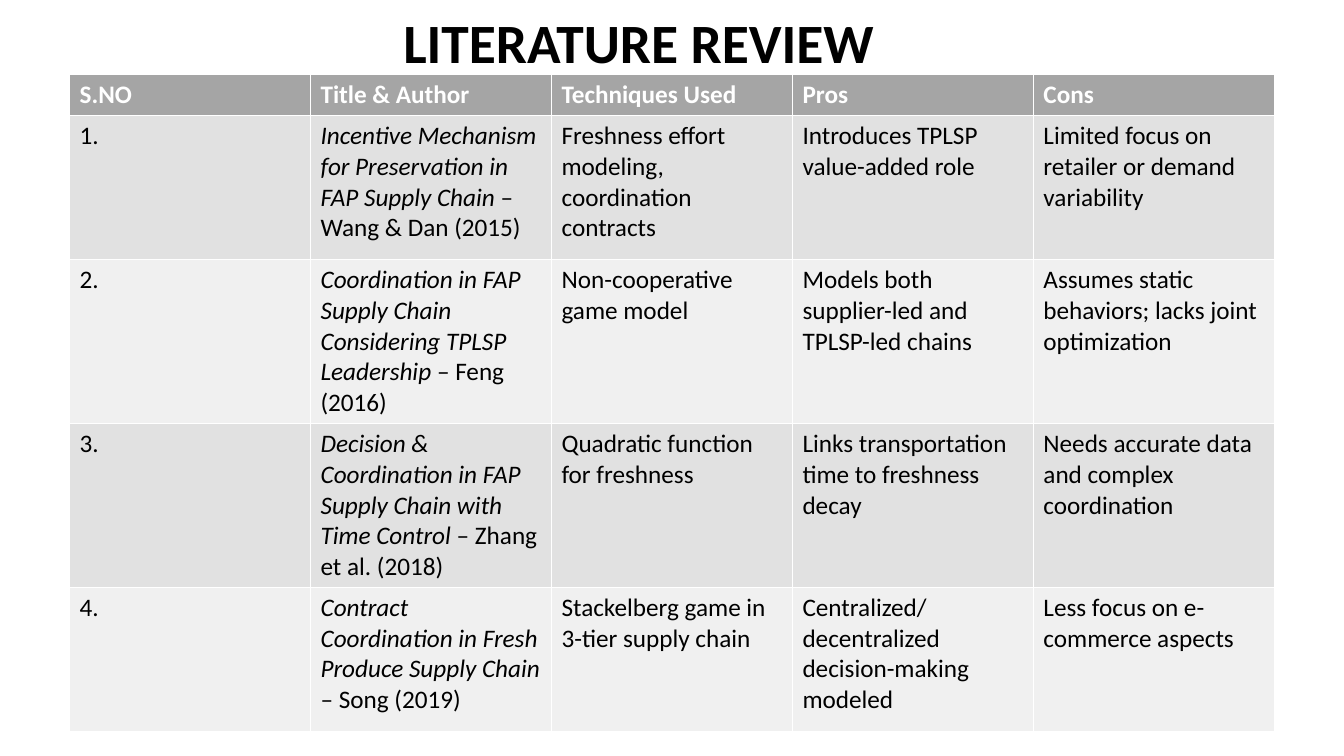
import pptx
import pptx.util
import pptx.dml.color
import pptx.enum.text
from pptx.util import Inches

BLACK = pptx.dml.color.RGBColor(0x00, 0x00, 0x00)
WHITE = pptx.dml.color.RGBColor(0xFF, 0xFF, 0xFF)
HEADER_GRAY = pptx.dml.color.RGBColor(0xA5, 0xA5, 0xA5)
ODD_GRAY = pptx.dml.color.RGBColor(0xE1, 0xE1, 0xE1)
EVEN_GRAY = pptx.dml.color.RGBColor(0xF0, 0xF0, 0xF0)

HEADINGS = ["S.NO", "Title & Author", "Techniques Used", "Pros", "Cons"]
# Paper title, author, techniques, pros, cons
PAPERS = [
    ("Incentive Mechanism for Preservation in FAP Supply Chain", "Wang & Dan (2015)",
     "Freshness effort modeling, coordination contracts",
     "Introduces TPLSP value-added role",
     "Limited focus on retailer or demand variability"),
    ("Coordination in FAP Supply Chain Considering TPLSP Leadership", "Feng (2016)",
     "Non-cooperative game model",
     "Models both supplier-led and TPLSP-led chains",
     "Assumes static behaviors; lacks joint optimization"),
    ("Decision & Coordination in FAP Supply Chain with Time Control", "Zhang et al. (2018)",
     "Quadratic function for freshness",
     "Links transportation time to freshness decay",
     "Needs accurate data and complex coordination"),
    ("Contract Coordination in Fresh Produce Supply Chain", "Song (2019)",
     "Stackelberg game in 3-tier supply chain",
     "Centralized/decentralized decision-making modeled",
     "Less focus on e-commerce aspects"),
]


def format_run(run, size, color, bold=False):
    run.font.name = "Calibri"
    run.font.size = pptx.util.Pt(size)
    run.font.color.rgb = color
    run.font.bold = bold


deck = pptx.Presentation()
deck.slide_width = Inches(13.33)
deck.slide_height = Inches(7.5)
page = deck.slides.add_slide(deck.slide_layouts[5])

# Title, set in from the left of its box
title = page.shapes.title
title.left, title.top = Inches(0.92), Inches(0.17)
title.width, title.height = Inches(11.5), Inches(0.56)
frame = title.text_frame
frame.text = "LITERATURE REVIEW"
frame.auto_size = pptx.enum.text.MSO_AUTO_SIZE.NONE
frame.vertical_anchor = pptx.enum.text.MSO_ANCHOR.MIDDLE
frame.margin_left = Inches(3.08)
para = frame.paragraphs[0]
para.alignment = pptx.enum.text.PP_ALIGN.LEFT
para.line_spacing = 0.9
format_run(para.runs[0], 39.6, BLACK, bold=True)

# Table grid
table = page.shapes.add_table(len(PAPERS) + 1, len(HEADINGS), Inches(0.69), Inches(0.74),
                              Inches(11.95), Inches(6.08)).table
for column in table.columns:
    column.width = Inches(2.39)
for row_number, row in enumerate(table.rows):
    row.height = Inches(1.43 if row_number else 0.36)

# Cell text: each cell is a list of runs
rows = [[[heading] for heading in HEADINGS]]
for number, (paper, author, *remarks) in enumerate(PAPERS, start=1):
    rows.append([[f"{number}."], [paper, f" – {author}"]] + [[remark] for remark in remarks])

for row_number, cells in enumerate(rows):
    is_header = row_number == 0
    fill = HEADER_GRAY if is_header else ODD_GRAY if row_number % 2 else EVEN_GRAY
    for column_number, texts in enumerate(cells):
        cell = table.cell(row_number, column_number)
        cell.fill.solid()
        cell.fill.fore_color.rgb = fill
        para = cell.text_frame.paragraphs[0]
        for text in texts:
            run = para.add_run()
            run.text = text
            format_run(run, 18, WHITE if is_header else BLACK, bold=is_header)
        # Paper titles are in italics, their authors are not
        if len(texts) == 2:
            para.runs[0].font.italic = True

deck.save("out.pptx")
